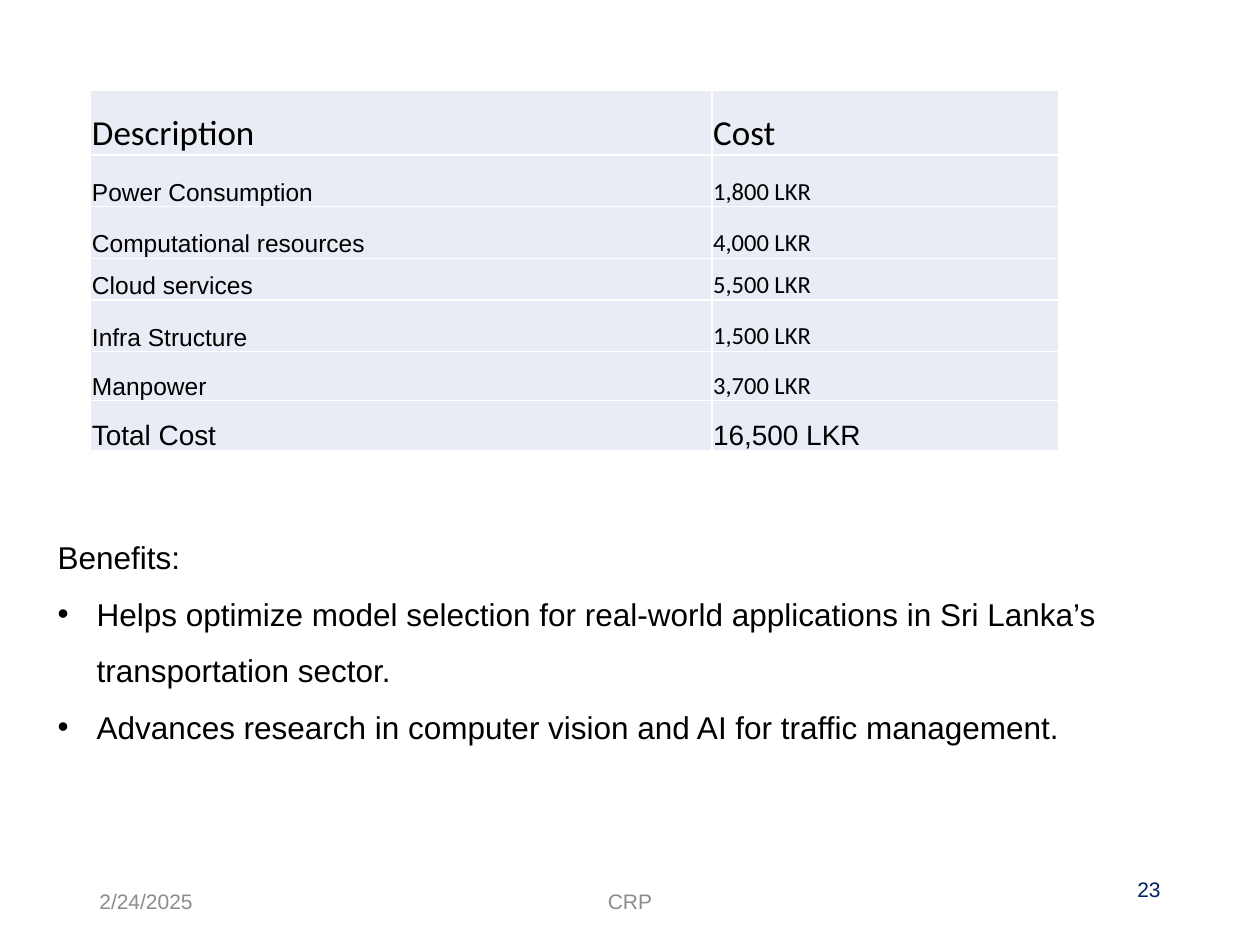
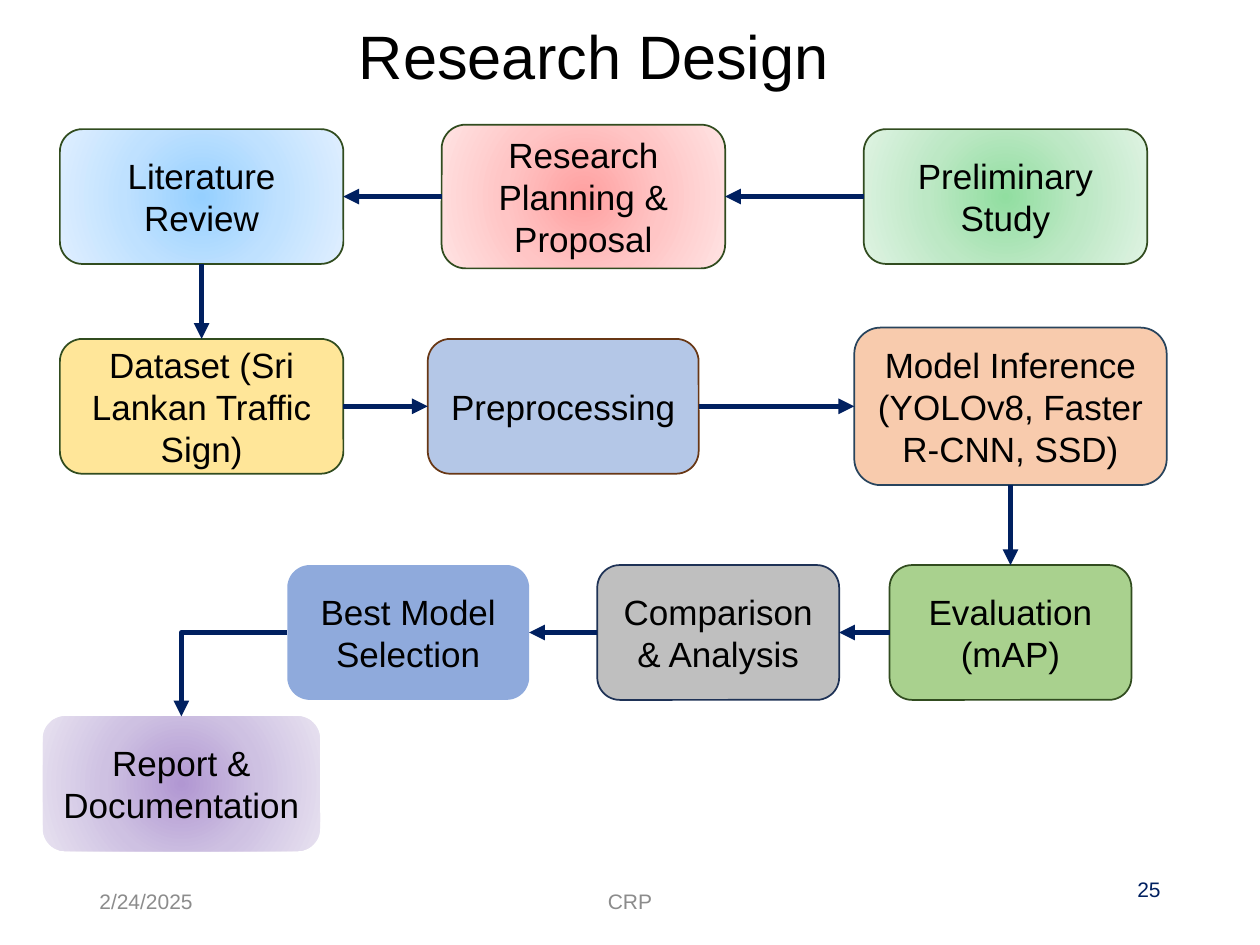
import pptx
import pptx.dml.color
import pptx.enum.shapes
import pptx.enum.text
import pptx.util
from lxml import etree
from pptx.oxml.ns import qn

BLACK, WHITE, NAVY, GREY = "000000", "FFFFFF", "002060", "8C8C8C"
CELL_FILL = "E9EBF5"
GREEN_EDGE, BROWN_EDGE, NAVY_EDGE, TEAL_EDGE = "314C1F", "683715", "1E3256", "28445D"
TOP, LEFT, BOTTOM, RIGHT = range(4)
ALIGN = pptx.enum.text.PP_ALIGN
ANCHOR = pptx.enum.text.MSO_ANCHOR
CONNECTOR = pptx.enum.shapes.MSO_CONNECTOR


def rgb(value):
    return pptx.dml.color.RGBColor.from_string(value)


def sub(parent, tag, **attributes):
    return etree.SubElement(parent, qn(tag), attributes)


class Deck:
    """Holds the shared style and the current slide, on a grid of 100 columns by 75 rows."""

    def __init__(self):
        self.file = pptx.Presentation()
        self.file.slide_width = pptx.util.Inches(10)
        self.file.slide_height = pptx.util.Inches(7.5)
        self.column = self.file.slide_width / 100
        self.row = self.file.slide_height / 75
        self.slide = None

    def place(self, left, top, width, height):
        return (round(left * self.column), round(top * self.row),
                round(width * self.column), round(height * self.row))

    def page(self, number):
        self.slide = self.file.slides.add_slide(self.file.slide_layouts[6])
        self.text("2/24/2025", (6.9, 69.5, 22.5, 4), 12, GREY)
        self.text("CRP", (33.1, 69.5, 33.8, 4), 12, GREY, ALIGN.CENTER)
        self.text(str(number), (70.6, 67.6, 22.5, 6), 12, NAVY, ALIGN.RIGHT)

    def style(self, paragraph, size, color=BLACK, align=ALIGN.LEFT, font="Arial"):
        paragraph.alignment = align
        for run in paragraph.runs:
            run.font.size = pptx.util.Pt(size)
            run.font.name = font
            run.font.color.rgb = rgb(color)

    def text(self, words, area, size, color=BLACK, align=ALIGN.LEFT, anchor=ANCHOR.MIDDLE):
        frame = self.slide.shapes.add_textbox(*self.place(*area)).text_frame
        frame.word_wrap = True
        frame.vertical_anchor = anchor
        frame.text = words
        for paragraph in frame.paragraphs:
            self.style(paragraph, size, color, align)
        return frame

    def title(self, words):
        frame = self.text(words, (14.4, 0, 65.5, 9.5), 35, align=ALIGN.CENTER)
        frame.paragraphs[0].line_spacing = 0.9

    def bullets(self, heading, points, area, size):
        frame = self.text("\n".join([heading, *points]), area, size, anchor=ANCHOR.TOP)
        indent = round(3.1 * self.column)
        for paragraph in frame.paragraphs[1:]:
            paragraph.line_spacing = 1.5
            properties = paragraph._p.get_or_add_pPr()
            properties.set("marL", str(indent))
            properties.set("indent", str(-indent))
            sub(properties, "a:buFont", typeface="Arial")
            sub(properties, "a:buChar", char="•")

    def cell(self, cell, words, size, font):
        cell.margin_left = cell.margin_right = cell.margin_top = pptx.util.Inches(0.01)
        cell.margin_bottom = 0
        cell.vertical_anchor = ANCHOR.BOTTOM
        cell.text = words
        self.style(cell.text_frame.paragraphs[0], size, font=font)
        properties = cell._tc.get_or_add_tcPr()
        for side in "LRTB":
            border = sub(properties, f"a:ln{side}", w=str(pptx.util.Pt(1)))
            sub(sub(border, "a:solidFill"), "a:srgbClr", val=WHITE)
        cell.fill.solid()
        cell.fill.fore_color.rgb = rgb(CELL_FILL)

    def table(self, left, top, widths, rows):
        area = self.place(left, top, sum(widths), sum(row[0] for row in rows))
        table = self.slide.shapes.add_table(len(rows), len(widths), *area).table
        table.first_row = table.horz_banding = False
        for column, width in zip(table.columns, widths):
            column.width = round(width * self.column)
        for index, (height, size, fonts, words) in enumerate(rows):
            table.rows[index].height = round(height * self.row)
            for column, (entry, font) in enumerate(zip(words, fonts)):
                self.cell(table.cell(index, column), entry, size, font)

    def glow(self, shape, stops):
        shape.fill.background()
        properties = shape.element.spPr
        gradient = etree.Element(qn("a:gradFill"), rotWithShape="1")
        properties.replace(properties.find(qn("a:noFill")), gradient)
        stop_list = sub(gradient, "a:gsLst")
        for position, color in zip((0, 50000, 100000), stops):
            sub(sub(stop_list, "a:gs", pos=str(position)), "a:srgbClr", val=color)
        center = dict.fromkeys("ltrb", "50000")
        sub(sub(gradient, "a:path", path="circle"), "a:fillToRect", **center)

    def step(self, words, center, size, fills, edge=None):
        (x, y), (width, height) = center, size
        area = self.place(x - width / 2, y - height / 2, width, height)
        shape = self.slide.shapes.add_shape(
            pptx.enum.shapes.MSO_SHAPE.ROUNDED_RECTANGLE, *area)
        shape.shadow.inherit = False
        if len(fills) > 1:
            self.glow(shape, fills)
        else:
            shape.fill.solid()
            shape.fill.fore_color.rgb = rgb(fills[0])
        if edge:
            shape.line.color.rgb = rgb(edge)
            shape.line.width = pptx.util.Pt(1)
        else:
            shape.line.fill.background()
        frame = shape.text_frame
        frame.word_wrap = True
        frame.vertical_anchor = ANCHOR.MIDDLE
        frame.text = words
        self.style(frame.paragraphs[0], 20, align=ALIGN.CENTER)
        return shape

    def arrow(self, source, source_side, target, target_side, bent=False):
        kind = CONNECTOR.ELBOW if bent else CONNECTOR.STRAIGHT
        link = self.slide.shapes.add_connector(kind, 0, 0, 0, 0)
        link.begin_connect(source, source_side)
        link.end_connect(target, target_side)
        link.line.color.rgb = rgb(NAVY)
        link.line.width = pptx.util.Pt(3)
        properties = link.element.spPr
        if bent:
            properties.find(qn("a:prstGeom")).set("prst", "bentConnector2")
        sub(properties.find(qn("a:ln")), "a:tailEnd", type="triangle")
        sub(properties, "a:effectLst")


def cost_slide(deck):
    deck.page(23)
    mixed = ("Arial", "Calibri")
    deck.table(7.2, 7.2, (49.3, 27.5), [
        (5.1, 20, ("Calibri", "Calibri"), ("Description", "Cost")),
        (4.1, 14, mixed, ("Power Consumption", "1,800 LKR")),
        (4.1, 14, mixed, ("Computational resources", "4,000 LKR")),
        (3.3, 14, mixed, ("Cloud services", "5,500 LKR")),
        (4.1, 14, mixed, ("Infra Structure", "1,500 LKR")),
        (3.9, 14, mixed, ("Manpower", "3,700 LKR")),
        (4, 16, ("Arial", "Arial"), ("Total Cost", "16,500 LKR")),
    ])
    deck.bullets("Benefits:", [
        "Helps optimize model selection for real-world applications in Sri Lanka’s "
        "transportation sector.",
        "Advances research in computer vision and AI for traffic management.",
    ], (3.6, 42.2, 89.6, 17.1), 18)


def design_slide(deck):
    deck.page(25)
    deck.title("Research Design")
    planning_row, model_row, result_row, report_row = 15.6, 32.25, 50.2, 62.2
    left_lane, right_lane = 16, 80.2
    wide, narrow = (22.5, 10.7), (19.2, 10.7)

    preliminary = deck.step("Preliminary Study", (79.8, planning_row), wide,
                            ("91DEA0", "BDE8C5", "DFF3E3"), GREEN_EDGE)
    planning = deck.step("Research Planning & Proposal", (46.3, planning_row), (22.5, 11.4),
                         ("FFA0A0", "FFC5C5", "FFE3E3"), GREEN_EDGE)
    literature = deck.step("Literature Review", (left_lane, planning_row), wide,
                           ("96D0FF", "BFE1FF", "E0EFFF"), GREEN_EDGE)
    dataset = deck.step("Dataset (Sri Lankan Traffic Sign)", (left_lane, model_row), wide,
                        ("FFE699",), GREEN_EDGE)
    preprocessing = deck.step("Preprocessing", (44.7, model_row), (21.5, 10.7),
                              ("B4C7E7",), BROWN_EDGE)
    inference = deck.step("Model Inference (YOLOv8, Faster R-CNN, SSD)",
                          (right_lane, model_row), (24.8, 12.5), ("F8CBAD",), TEAL_EDGE)
    evaluation = deck.step("Evaluation (mAP)", (right_lane, result_row), narrow,
                           ("A9D18E",), GREEN_EDGE)
    comparison = deck.step("Comparison & Analysis", (57, result_row), narrow,
                           ("BFBFBF",), NAVY_EDGE)
    selection = deck.step("Best Model Selection", (32.4, result_row), narrow, ("8FAADC",))
    report = deck.step("Report & Documentation", (14.4, report_row), (22, 10.7),
                       ("B197D2", "CEC1E2", "E7E1F0"))

    for source, target in ((preliminary, planning), (planning, literature),
                           (evaluation, comparison), (comparison, selection)):
        deck.arrow(source, LEFT, target, RIGHT)
    for source, target in ((dataset, preprocessing), (preprocessing, inference)):
        deck.arrow(source, RIGHT, target, LEFT)
    for source, target in ((literature, dataset), (inference, evaluation)):
        deck.arrow(source, BOTTOM, target, TOP)
    deck.arrow(selection, LEFT, report, TOP, bent=True)


def main():
    deck = Deck()
    cost_slide(deck)
    design_slide(deck)
    deck.file.save("out.pptx")


if __name__ == "__main__":
    main()
